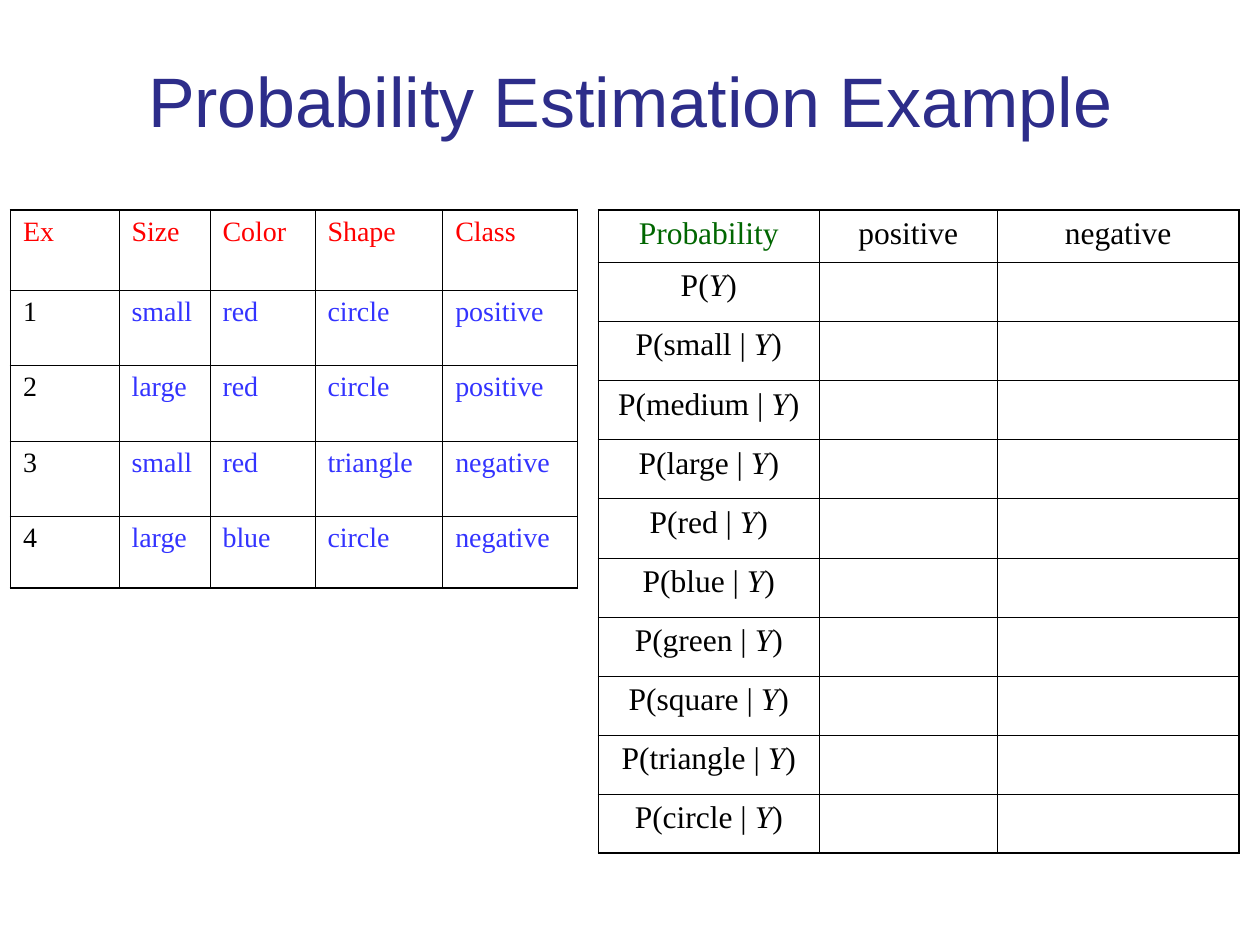
import pptx
import pptx.dml.color
import pptx.enum.text
import pptx.oxml.ns
import pptx.util
from lxml import etree

Pt = pptx.util.Pt
RGBColor = pptx.dml.color.RGBColor
qn = pptx.oxml.ns.qn
ALIGN = pptx.enum.text.PP_ALIGN

NAVY = RGBColor(0x2D, 0x2D, 0x8A)
RED = RGBColor(0xFF, 0x00, 0x00)
BLUE = RGBColor(0x33, 0x33, 0xFF)
GREEN = RGBColor(0x00, 0x66, 0x00)
BLACK = RGBColor(0x00, 0x00, 0x00)


class SlideBuilder:
    title_font, table_font = "Arial", "Times New Roman"
    outer_line, inner_line = 1.08, 0.45
    empty_size = 24

    def __init__(self, deck):
        self.page = deck.slides.add_slide(deck.slide_layouts[5])

    def title(self, text, left, top, width, height):
        box = self.page.shapes.title
        box.left, box.top, box.width, box.height = map(Pt, (left, top, width, height))
        box.text_frame.text = text
        box.text_frame.vertical_anchor = pptx.enum.text.MSO_ANCHOR.MIDDLE
        para = box.text_frame.paragraphs[0]
        para.alignment = ALIGN.CENTER
        self.style(para.runs[0], self.title_font, 40, NAVY)

    def style(self, span, name, size, color):
        span.font.name = name
        span.font.size = Pt(size)
        span.font.color.rgb = color

    def border(self, cell, side, width):
        properties = cell._tc.get_or_add_tcPr()
        line = etree.SubElement(properties, qn("a:ln" + side), w=str(Pt(width)))
        fill = etree.SubElement(line, qn("a:solidFill"))
        etree.SubElement(fill, qn("a:srgbClr"), val=str(BLACK))

    def fill_cell(self, cell, text, size, color, alignment):
        para = cell.text_frame.paragraphs[0]
        para.alignment = alignment
        para.space_before = Pt(size / 4)
        # The class variable Y is set in italics
        for part in filter(None, text.partition("Y")):
            span = para.add_run()
            span.text = part
            self.style(span, self.table_font, size, color)
            span.font.italic = part == "Y"
        # Empty cells keep room for an answer in larger type
        if not text:
            end = etree.SubElement(para._p, qn("a:endParaRPr"), sz=str(self.empty_size * 100))
            etree.SubElement(end, qn("a:latin"), typeface=self.table_font)

    def table(self, left, top, widths, heights, rows, size, alignment, color_of):
        frame = self.page.shapes.add_table(
            len(heights), len(widths), Pt(left), Pt(top), Pt(sum(widths)), Pt(sum(heights)))
        table = frame.table
        table.first_row = table.horz_banding = False
        for column, width in zip(table.columns, widths):
            column.width = Pt(width)
        for row, height in zip(table.rows, heights):
            row.height = Pt(height)
        last_row, last_column = len(heights) - 1, len(widths) - 1
        for r, texts in enumerate(rows):
            for c, text in enumerate(texts):
                cell = table.cell(r, c)
                self.fill_cell(cell, text, size, color_of(r, c), alignment)
                edges = {"L": c == 0, "R": c == last_column, "T": r == 0, "B": r == last_row}
                for side, is_outer in edges.items():
                    self.border(cell, side, self.outer_line if is_outer else self.inner_line)
                cell.fill.background()


def probability_color(row, column):
    return GREEN if row == column == 0 else BLACK


def example_color(row, column):
    if row == 0:
        return RED
    return BLACK if column == 0 else BLUE


def main():
    deck = pptx.Presentation()
    deck.slide_width, deck.slide_height = Pt(720), Pt(540)
    builder = SlideBuilder(deck)
    builder.title("Probability Estimation Example", 54, 18, 612, 78)

    # Probabilities to be estimated
    values = ["small", "medium", "large", "red", "blue", "green", "square", "triangle", "circle"]
    labels = ["P(Y)"] + [f"P({value} | Y)" for value in values]
    probabilities = [["Probability", "positive", "negative"]]
    probabilities += [[label, "", ""] for label in labels]
    builder.table(342, 120, [126, 102, 138], [30] * len(probabilities),
                  probabilities, 18, ALIGN.CENTER, probability_color)

    # Training examples
    examples = [
        ["Ex", "Size", "Color", "Shape", "Class"],
        ["1", "small", "red", "circle", "positive"],
        ["2", "large", "red", "circle", "positive"],
        ["3", "small", "red", "triangle", "negative"],
        ["4", "large", "blue", "circle", "negative"],
    ]
    builder.table(6, 120, [62, 52, 60, 73, 77], [46, 43, 43, 43, 41],
                  examples, 16, ALIGN.LEFT, example_color)

    deck.save("out.pptx")


if __name__ == "__main__":
    main()
